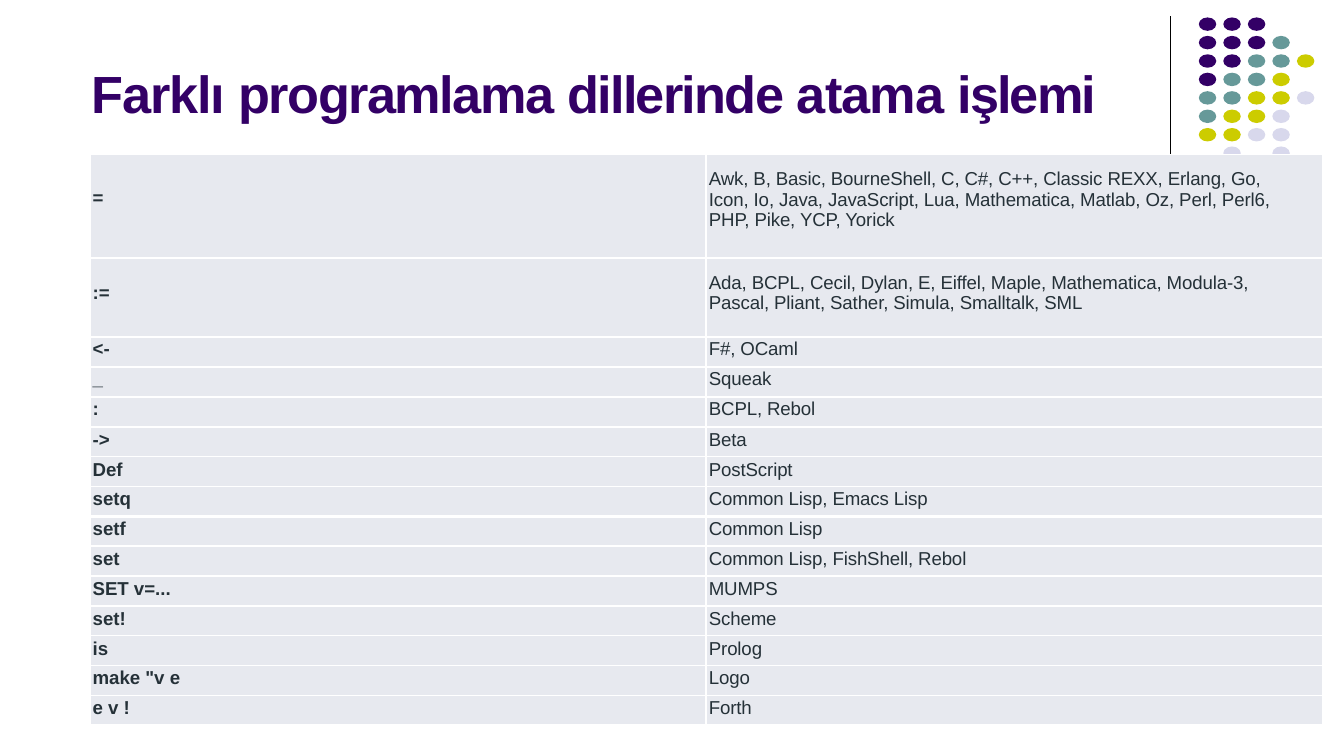
from lxml import etree
from pptx import Presentation
from pptx import util as u
from pptx.dml.color import RGBColor
from pptx.enum import shapes, text
from pptx.oxml.ns import qn

# Content
TITLE = [("Farklı ", -0.6), ("programlama ", -0.8), ("dillerinde ", -0.9),
         ("atama ", -0.5), ("işlemi", -1)]
ROWS = [
    ("=", "Awk, B, Basic, BourneShell, C, C#, C++, Classic REXX, Erlang, Go, "
          "Icon, Io, Java, JavaScript, Lua, Mathematica, Matlab, Oz, Perl, "
          "Perl6, PHP, Pike, YCP, Yorick"),
    (":=", "Ada, BCPL, Cecil, Dylan, E, Eiffel, Maple, Mathematica, Modula-3, "
           "Pascal, Pliant, Sather, Simula, Smalltalk, SML"),
    ("<-", "F#, OCaml"),
    ("_", "Squeak"),
    (":", "BCPL, Rebol"),
    ("->", "Beta"),
    ("Def", "PostScript"),
    ("setq", "Common Lisp, Emacs Lisp"),
    ("setf", "Common Lisp"),
    ("set", "Common Lisp, FishShell, Rebol"),
    ("SET v=...", "MUMPS"),
    ("set!", "Scheme"),
    ("is", "Prolog"),
    ('make "v e', "Logo"),
    ("e v !", "Forth"),
]
# One letter per dot: purple, teal, lime, grey
DOTS = ["PPP", "PPPT", "PPTTL", "PTTL", "TTLLG", "TLLG", "LLGG", " G G"]

THEME = {
    "font": "Arial", "title": 28, "body": 10,
    "head": "330066", "ink": "253138", "cell": "E7E9EF",
    "edge": "FFFFFF", "rule": "000000",
    "P": "330066", "T": "669999", "L": "CCCC00", "G": "D8D8EC",
}
WIDE = 10
TALL = [0.77, 0.59]          # heights of the two long rows
TOPS = [(0.25, 0.11), (0.18, 0.11)]  # their top margins, by column
TABLE = (0.67, 1.15, 9.17, 4.25)


def tint(name):
    return RGBColor.from_string(THEME[name])


def box(*nums):
    return [u.Inches(n) for n in nums]


def add_run(para, words, size, color, bold, gap):
    run = para.add_run()
    run.text = words
    font = run.font
    font.name, font.size, font.bold = THEME["font"], u.Pt(size), bold
    font.color.rgb = tint(color)
    if gap:
        font._element.set("spc", str(round(gap * 100)))


def add_edge(cell, side, width):
    props = cell._tc.get_or_add_tcPr()
    line = etree.SubElement(props, qn("a:ln" + side), w=str(u.Pt(width)))
    fill = etree.SubElement(line, qn("a:solidFill"))
    etree.SubElement(fill, qn("a:srgbClr"), val=THEME["edge"])


# Widescreen page, 16 to 9
deck = Presentation()
deck.slide_width, deck.slide_height = box(WIDE, WIDE * 9 / 16)
slide = deck.slides.add_slide(deck.slide_layouts[6])
items = slide.shapes

# Vertical rule
rule = items.add_connector(shapes.MSO_CONNECTOR.STRAIGHT,
                           *box(8.71, 0.12, 8.71, 1.38))
rule.line.color.rgb = tint("rule")
rule.line.width = u.Pt(0.75)
etree.SubElement(rule._element.spPr, qn("a:effectLst"))

# Dot grid
for row, marks in enumerate(DOTS):
    for col, mark in enumerate(marks):
        if mark == " ":
            continue
        dot = items.add_shape(
            shapes.MSO_SHAPE.OVAL,
            *box(8.92 + col * 0.73 / 4, 0.13 + row * 0.96 / 7, 0.13, 0.1))
        dot.shadow.inherit = False
        dot.fill.solid()
        dot.fill.fore_color.rgb = tint(mark)
        dot.line.fill.background()

# Title
frame = items.add_textbox(*box(0.67, 0.43, 7.55, 0.49)).text_frame
frame.word_wrap = True
frame.vertical_anchor = text.MSO_ANCHOR.BOTTOM
frame.margin_left = frame.margin_top = u.Inches(0.01)
frame.margin_right = frame.margin_bottom = 0
for words, gap in TITLE:
    add_run(frame.paragraphs[0], words, THEME["title"], "head", True, gap)

# Table of operators
grid = items.add_table(len(ROWS), 2, *box(*TABLE)).table
grid.first_row = grid.horz_banding = False
for col in grid.columns:
    col.width = u.Inches(TABLE[2] / 2)
low = (TABLE[3] - sum(TALL)) / (len(ROWS) - len(TALL))

for row, pair in enumerate(ROWS):
    long = row < len(TALL)
    grid.rows[row].height = u.Inches(TALL[row] if long else low)
    top = 0.01 if row < 5 else 0.02
    for col, words in enumerate(pair):
        cell = grid.cell(row, col)
        cell.margin_left = u.Inches(0.02)
        cell.margin_top = u.Inches(TOPS[row][col] if long else top)
        cell.margin_right = u.Inches(0.35 if long and col else 0)
        cell.margin_bottom = 0
        for side in "LRTB":
            # Thicker line between setq and setf
            thick = (pair[0], side) in (("setq", "B"), ("setf", "T"))
            add_edge(cell, side, 1.5 if thick else 1)
        cell.fill.solid()
        cell.fill.fore_color.rgb = tint("cell")
        para = cell.text_frame.paragraphs[0]
        if long and col:
            para.line_spacing = 0.98
        add_run(para, words, THEME["body"], "ink", col == 0,
                -0.05 if col else 0)

deck.save("out.pptx")
